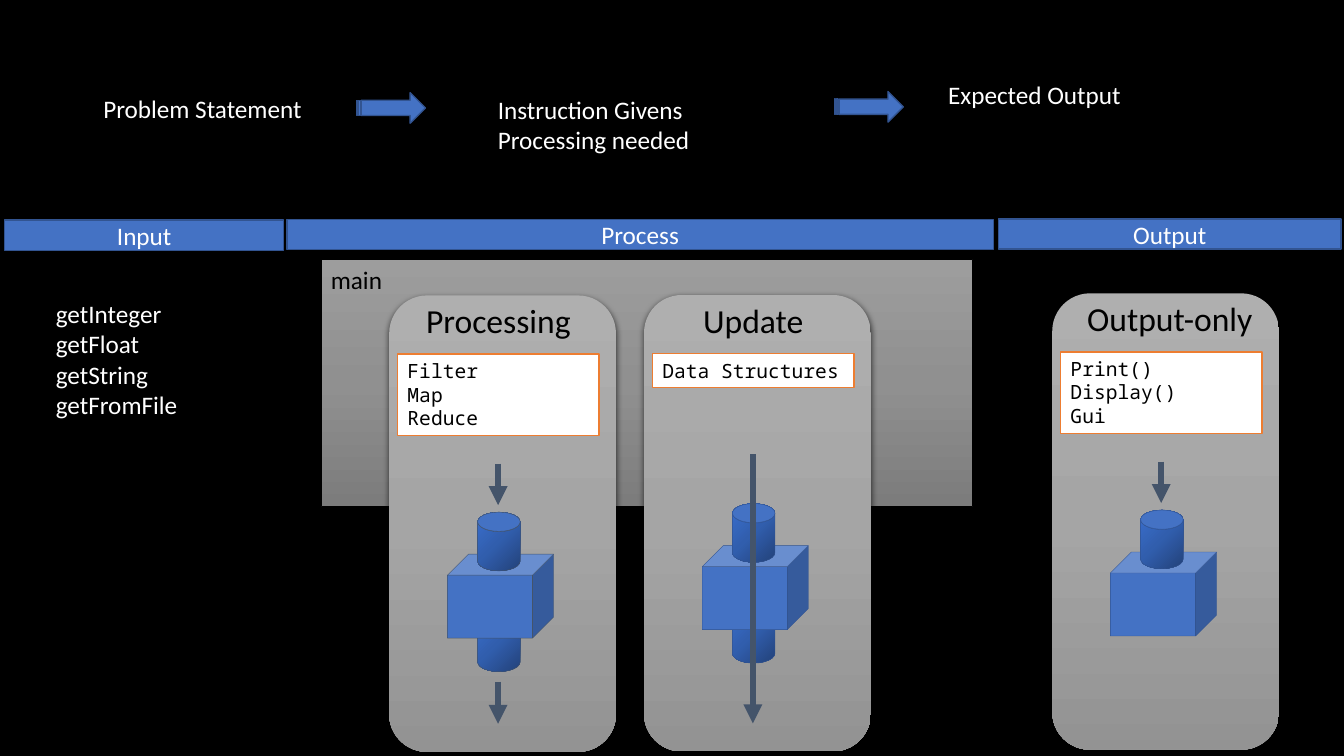
import pptx
import pptx.dml.color
import pptx.enum.shapes
import pptx.enum.text
import pptx.oxml
import pptx.oxml.ns
import pptx.util

Pt = pptx.util.Pt
Shape = pptx.enum.shapes.MSO_SHAPE
Align = pptx.enum.text.PP_ALIGN
Anchor = pptx.enum.text.MSO_ANCHOR
NAMESPACE = pptx.oxml.ns.nsdecls("a")

BLUE, EDGE, SLATE, ORANGE = "4472C4", "325491", "44546A", "ED7D31"
BLACK, WHITE = "000000", "FFFFFF"
MAIN_FILL = (("9D9D9D", "909090", "7C7C7C"), 90)
CARD_FILL = (("AFAFAF", "A5A5A5", "939393"), 90)
PIPE_FILL = (("23427A", "315EAD", "3A6FCE"), 225)


def color(value):
    return pptx.dml.color.RGBColor.from_string(value)


def add_gradient(shape, colors, angle):
    shape.fill.gradient()
    gradient = shape.element.spPr.find(pptx.oxml.ns.qn("a:gradFill"))
    for child in list(gradient):
        gradient.remove(child)
    stops = "".join(
        f'<a:gs pos="{index * 50000}"><a:srgbClr val="{value}"/></a:gs>'
        for index, value in enumerate(colors)
    )
    gradient.append(pptx.oxml.parse_xml(f"<a:gsLst {NAMESPACE}>{stops}</a:gsLst>"))
    gradient.append(pptx.oxml.parse_xml(f'<a:lin {NAMESPACE} ang="{angle * 60000}" scaled="0"/>'))


def add_shadow(shape):
    effects = shape.element.spPr.find(pptx.oxml.ns.qn("a:effectLst"))
    effects.append(pptx.oxml.parse_xml(
        f'<a:outerShdw {NAMESPACE} blurRad="{Pt(4.5)}" dist="{Pt(1.5)}" dir="5400000" '
        'algn="ctr" rotWithShape="0"><a:srgbClr val="000000"><a:alpha val="63000"/>'
        "</a:srgbClr></a:outerShdw>"
    ))


def add_block(shapes, kind, left, top, width, height, fill, line=None, weight=1):
    shape = shapes.add_shape(kind, Pt(left), Pt(top), Pt(width), Pt(height))
    shape.shadow.inherit = False
    if isinstance(fill, tuple):
        add_gradient(shape, *fill)
    else:
        shape.fill.solid()
        shape.fill.fore_color.rgb = color(fill)
    if line:
        shape.line.color.rgb = color(line)
        shape.line.width = Pt(weight)
    else:
        shape.line.fill.background()
    return shape


def write(shape, lines, ink, size=18, font="Calibri", align=Align.LEFT, anchor=Anchor.TOP, wrap=True):
    frame = shape.text_frame
    frame.word_wrap = wrap
    frame.vertical_anchor = anchor
    for index, line in enumerate(lines):
        para = frame.add_paragraph() if index else frame.paragraphs[0]
        para.alignment = align
        span = para.add_run()
        span.text = line
        span.font.size = Pt(size)
        span.font.name = font
        span.font.color.rgb = color(ink)


def add_label(shapes, left, top, width, height, lines, ink=WHITE, wrap=False, **style):
    box = shapes.add_textbox(Pt(left), Pt(top), Pt(width), Pt(height))
    write(box, lines, ink, wrap=wrap, **style)
    box.text_frame.auto_size = pptx.enum.text.MSO_AUTO_SIZE.SHAPE_TO_FIT_TEXT


def add_bar(shapes, left, top, width, name):
    bar = add_block(shapes, Shape.RECTANGLE, left, top, width, 21.6, BLUE, EDGE)
    write(bar, [name], WHITE, align=Align.CENTER, anchor=Anchor.MIDDLE)


def add_flow_arrow(shapes, x, start, end):
    arrow = shapes.add_connector(
        pptx.enum.shapes.MSO_CONNECTOR.STRAIGHT, Pt(x), Pt(start), Pt(x), Pt(end))
    arrow.line.color.rgb = color(SLATE)
    arrow.line.width = Pt(4.5)
    arrow.line._get_or_add_ln().append(
        pptx.oxml.parse_xml(f'<a:tailEnd {NAMESPACE} type="triangle"/>'))
    arrow.element.spPr.append(pptx.oxml.parse_xml(f"<a:effectLst {NAMESPACE}/>"))


def add_machine(shapes, left, top, line, has_outlet):
    pipe_left = left + 21.6
    if has_outlet:
        add_block(shapes, Shape.FLOWCHART_MAGNETIC_DISK, pipe_left, top + 72, 30.4, 42,
                  PIPE_FILL, line, 0.25)
    add_block(shapes, Shape.CUBE, left, top + 30, 75.8, 60, BLUE, line, 0.25)
    add_block(shapes, Shape.FLOWCHART_MAGNETIC_DISK, pipe_left, top, 30.4, 42,
              PIPE_FILL, line, 0.25)
    add_block(shapes, Shape.OVAL, pipe_left, top, 30.4, 13.7, BLUE, line, 0.25)


def add_card(page, left, top, title, title_shift, lines, box_height, machine_top, line, has_outlet, arrows):
    shapes = page.shapes.add_group_shape().shapes
    card = add_block(shapes, Shape.ROUNDED_RECTANGLE, left, top, 162, 326, CARD_FILL)
    add_shadow(card)
    add_label(shapes, left + title_shift, top, 168, 36, [title], BLACK, True,
              size=24, align=Align.CENTER)
    box = add_block(shapes, Shape.RECTANGLE, left + 6, top + 41.8, 144, box_height, WHITE, ORANGE)
    write(box, lines, BLACK, size=14, font="Noto Sans Mono")
    add_machine(shapes, left + 41.6, top + machine_top, line, has_outlet)
    for start, end in arrows:
        add_flow_arrow(shapes, left + 77.8, top + start, top + end)


def main():
    deck = pptx.Presentation()
    deck.slide_width, deck.slide_height = Pt(960), Pt(540)
    page = deck.slides.add_slide(deck.slide_layouts[6])
    page.background.fill.solid()
    page.background.fill.fore_color.rgb = color(BLACK)
    shapes = page.shapes

    add_bar(shapes, 205, 156.8, 504.5, "Process")
    add_bar(shapes, 3.4, 157.2, 199.2, "Input")
    add_bar(shapes, 713.2, 156.4, 244.8, "Output")

    main_area = add_block(shapes, Shape.RECTANGLE, 229.2, 185, 465.6, 177, MAIN_FILL, BLACK, 0.5)
    write(main_area, ["main"], BLACK)

    for left, top in ((254.7, 66.2), (596, 65.4)):
        add_block(shapes, Shape.STRIPED_RIGHT_ARROW, left, top, 49.2, 21.8, BLUE, EDGE)

    add_label(shapes, 66.7, 62.8, 157.5, 29, ["Problem Statement"])
    add_label(shapes, 348.5, 63.7, 152.6, 51, ["Instruction Givens", "Processing needed"])
    add_label(shapes, 670.2, 52.8, 139, 29, ["Expected Output"])
    add_label(shapes, 32.8, 209.7, 102.2, 94.5,
              ["getInteger", "getFloat", "getString", "getFromFile"])

    inlet, outlet, through = (120.2, 149.8), (275.8, 306), (113.8, 306)
    add_card(page, 278, 211, "Processing", -6, ["Filter", "Map", "Reduce"], 58.3,
             154.8, SLATE, True, [inlet, outlet])
    add_card(page, 460, 210.7, "Update", -6, ["Data Structures"], 24.3,
             149, EDGE, True, [through])
    add_card(page, 751.6, 209.5, "Output-only", 0, ["Print()", "Display()", "Gui"], 58.3,
             154.8, EDGE, False, [inlet])

    deck.save("out.pptx")


main()
